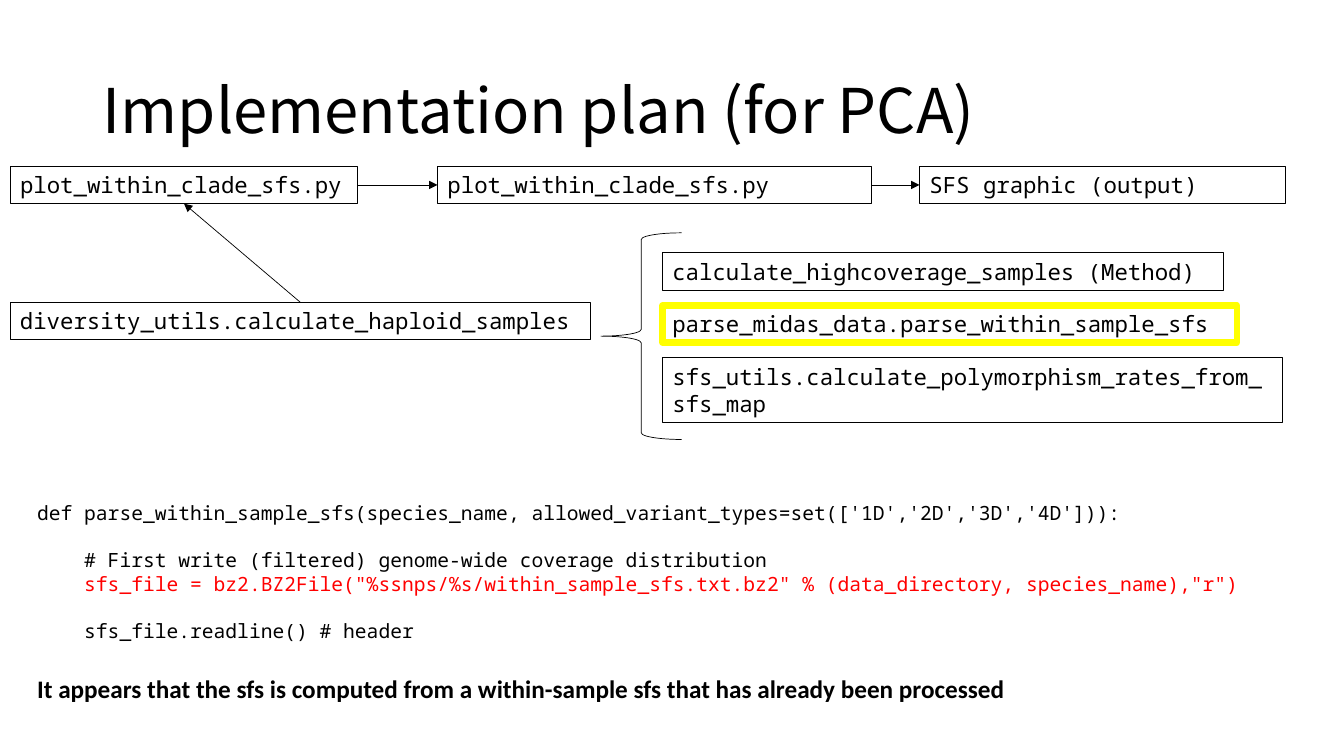
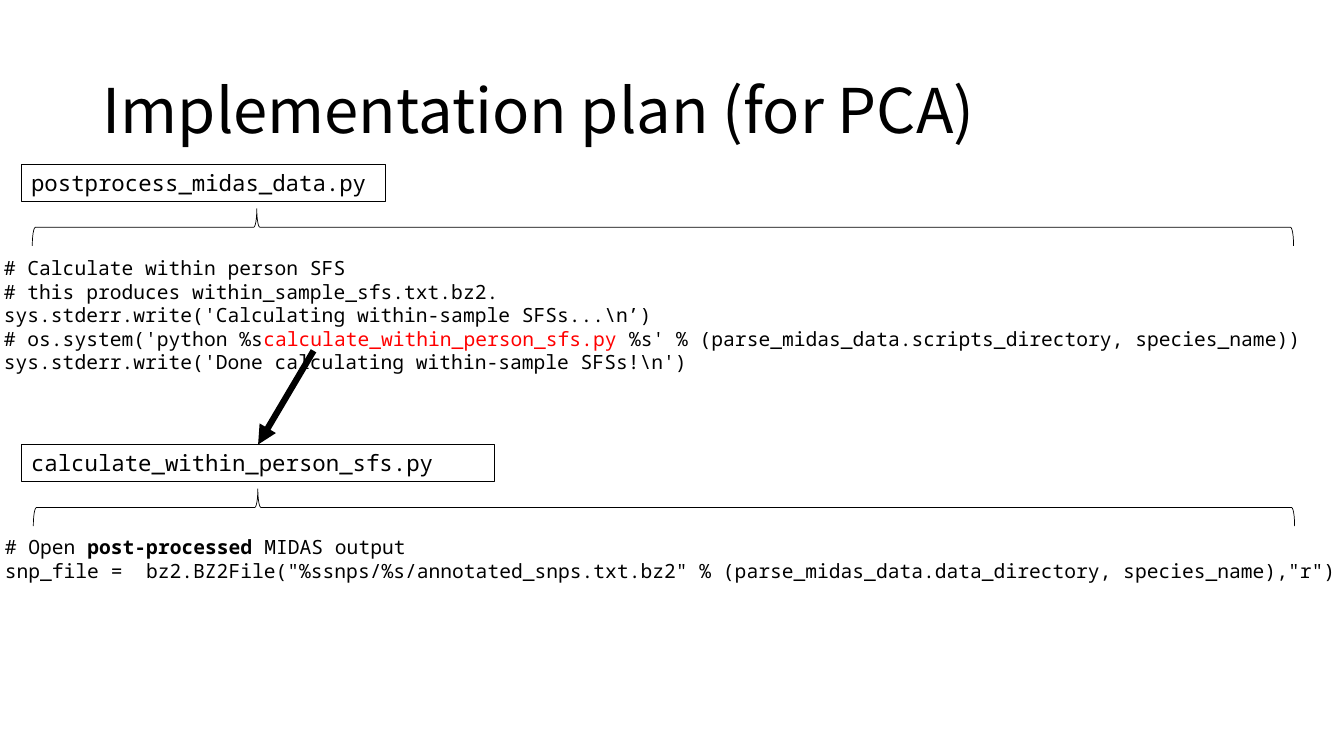
"""Build two slides that plan how the within-sample SFS is computed."""
from lxml.etree import SubElement
from pptx import Presentation
from pptx.dml.color import RGBColor
from pptx.enum.shapes import MSO_CONNECTOR, MSO_SHAPE
from pptx.enum.text import MSO_ANCHOR, MSO_AUTO_SIZE, PP_ALIGN
from pptx.oxml.ns import qn
from pptx.util import Inches, Pt

COLORS = {"ink": "000000", "alert": "FF0000", "highlight": "FFFF00"}
TITLE_FONT = "Noto Sans CJK JP"
CODE_FONT = "Noto Sans Mono"
NOTE_FONT = "Calibri"
TITLE = "Implementation plan (for PCA)"
BOX_HEIGHT = 0.37
TOP, BOTTOM, LEFT, RIGHT = 0, 2, 3, 1
TOP, LEFT, BOTTOM, RIGHT = range(4)


def color(name):
    """Return the named palette colour."""
    return RGBColor.from_string(COLORS[name])


def set_font(font, name, size, bold=False, color_name="ink"):
    """Format a paragraph font."""
    font.name, font.size, font.bold = name, Pt(size), bold
    font.color.rgb = color(color_name)


def set_outline(shape, width, color_name="ink"):
    """Give a shape an outline without fill or shadow."""
    shape.shadow.inherit = False
    shape.fill.background()
    shape.line.color.rgb = color(color_name)
    shape.line.width = Pt(width)


def add_titled_slide(presentation):
    """Add a slide with the shared title."""
    slide = presentation.slides.add_slide(presentation.slide_layouts[5])
    title = slide.shapes.title
    title.left, title.top = Inches(0.92), Inches(0.4)
    title.width, title.height = Inches(11.5), Inches(1.45)
    frame = title.text_frame
    frame.text = TITLE
    frame.vertical_anchor = MSO_ANCHOR.MIDDLE
    paragraph = frame.paragraphs[0]
    paragraph.alignment = PP_ALIGN.LEFT
    paragraph.line_spacing = 0.9
    set_font(paragraph.font, TITLE_FONT, 44)
    return slide


def add_box(slide, text, left, top, width, height=BOX_HEIGHT, line_width=0.75, line_color="ink"):
    """Add an outlined box that names a script or function."""
    box = slide.shapes.add_shape(
        MSO_SHAPE.RECTANGLE, Inches(left), Inches(top), Inches(width), Inches(height))
    set_outline(box, line_width, line_color)
    frame = box.text_frame
    frame.text = text
    frame.word_wrap = True
    frame.auto_size = MSO_AUTO_SIZE.SHAPE_TO_FIT_TEXT
    frame.vertical_anchor = MSO_ANCHOR.TOP
    paragraph = frame.paragraphs[0]
    paragraph.alignment = PP_ALIGN.LEFT
    set_font(paragraph.font, CODE_FONT, 16)
    return box


def add_brace(slide, left, top, width, height):
    """Add a thin left brace."""
    brace = slide.shapes.add_shape(
        MSO_SHAPE.LEFT_BRACE, Inches(left), Inches(top), Inches(width), Inches(height))
    set_outline(brace, 0.5)
    return brace


def add_wide_brace(slide, left, top):
    """Add a brace that lies above a code block and points up."""
    depth, span = 0.37, 12.51
    shift = (span - depth) / 2
    brace = add_brace(slide, left + shift, top - shift, depth, span)
    brace.rotation = 90
    brace.adjustments[0], brace.adjustments[1] = 0.083, 0.822


def add_arrow(slide, start=None, end=None, start_point=(0, 0), width=0.5):
    """Add an arrow between (box, side) pairs, or from a point to such a pair."""
    x, y = start_point
    arrow = slide.shapes.add_connector(
        MSO_CONNECTOR.STRAIGHT, Inches(x), Inches(y), Inches(x), Inches(y))
    if start:
        arrow.begin_connect(*start)
    arrow.end_connect(*end)
    arrow.line.color.rgb = color("ink")
    arrow.line.width = Pt(width)
    SubElement(arrow.line._get_or_add_ln(), qn("a:tailEnd"), type="triangle")
    SubElement(arrow._element.spPr, qn("a:effectLst"))


def add_text(slide, lines, left, top, width, height, wrap=False, font=CODE_FONT, size=14,
             bold=False, gaps=()):
    """Add lines of (text, style) runs; gaps lists the lines that follow a space."""
    box = slide.shapes.add_textbox(Inches(left), Inches(top), Inches(width), Inches(height))
    frame = box.text_frame
    frame.word_wrap = wrap
    frame.auto_size = MSO_AUTO_SIZE.SHAPE_TO_FIT_TEXT
    for index, line in enumerate(lines):
        paragraph = frame.paragraphs[0] if index == 0 else frame.add_paragraph()
        if index in gaps:
            paragraph.space_before = Pt(16.8)
        set_font(paragraph.font, font, size, bold)
        for text, style in [(line, None)] if isinstance(line, str) else line:
            run = paragraph.add_run()
            run.text = text
            if style == "bold":
                run.font.bold = True
            elif style:
                run.font.color.rgb = color(style)


def build_call_graph(presentation):
    """Show the scripts behind the SFS graphic and the function of interest."""
    slide = add_titled_slide(presentation)
    flow_top = 1.65
    script = add_box(slide, "plot_within_clade_sfs.py", 0.1, flow_top, 3.45)
    plot = add_box(slide, "plot_within_clade_sfs.py", 4.34, flow_top, 4.3)
    output = add_box(slide, "SFS graphic (output)", 9.12, flow_top, 3.63)
    haploid = add_box(slide, "diversity_utils.calculate_haploid_samples", 0.1, 3, 5.76)
    add_arrow(slide, (script, RIGHT), (plot, LEFT))
    add_arrow(slide, (plot, RIGHT), (output, LEFT))
    add_arrow(slide, (haploid, TOP), (script, BOTTOM))

    add_brace(slide, 5.96, 2.31, 0.8, 2.05)
    callees = [
        ("calculate_highcoverage_samples (Method)", 5.57, {}),
        ("parse_midas_data.parse_within_sample_sfs", 5.7,
         {"line_width": 4.5, "line_color": "highlight"}),
        ("sfs_utils.calculate_polymorphism_rates_from_sfs_map", 6.15, {"height": 0.64}),
    ]
    for index, (name, width, options) in enumerate(callees):
        add_box(slide, name, 6.57, 2.51 + 0.52 * index, width, **options)

    add_text(slide, [
        "def parse_within_sample_sfs(species_name, allowed_variant_types=set(['1D','2D','3D','4D'])):",
        "    # First write (filtered) genome-wide coverage distribution",
        [('    sfs_file = bz2.BZ2File("%ssnps/%s/within_sample_sfs.txt.bz2"'
          ' % (data_directory, species_name),"r")', "alert")],
        "    sfs_file.readline() # header",
    ], 0.27, 4.92, 12.17, 1.28, wrap=True, gaps=(1, 3))
    add_text(slide, [
        "It appears that the sfs is computed from a within-sample sfs that has already been processed",
    ], 0.27, 6.63, 9.88, 0.4, font=NOTE_FONT, size=18, bold=True)


def build_script_details(presentation):
    """Show the code that produces the within-sample SFS."""
    slide = add_titled_slide(presentation)
    add_box(slide, "postprocess_midas_data.py", 0.21, 1.63, 3.61)
    add_wide_brace(slide, 0.32, 2.07)
    add_text(slide, [
        "# Calculate within person SFS",
        "# this produces within_sample_sfs.txt.bz2.",
        r"sys.stderr.write('Calculating within-sample SFSs...\n’)",
        [("# os.system('python %s", None),
         ("calculate_within_person_sfs.py", "alert"),
         (" %s' % (parse_midas_data.scripts_directory, species_name))", None)],
        r"sys.stderr.write('Done calculating within-sample SFSs!\n')",
    ], -0.06, 2.49, 13.12, 1.28)

    calculator = add_box(slide, "calculate_within_person_sfs.py", 0.21, 4.41, 4.7)
    add_wide_brace(slide, 0.33, 4.85)
    add_text(slide, [
        [("# Open ", None), ("post-processed", "bold"), (" MIDAS output", None)],
        'snp_file =  bz2.BZ2File("%ssnps/%s/annotated_snps.txt.bz2"'
        ' % (parse_midas_data.data_directory, species_name),"r")',
    ], -0.05, 5.26, 13.47, 0.57)
    add_arrow(slide, end=(calculator, TOP), start_point=(3.11, 3.48), width=4.5)


def main():
    """Build and save the presentation."""
    presentation = Presentation()
    presentation.slide_width, presentation.slide_height = Inches(13.33), Inches(7.5)
    build_call_graph(presentation)
    build_script_details(presentation)
    presentation.save("out.pptx")


if __name__ == "__main__":
    main()
